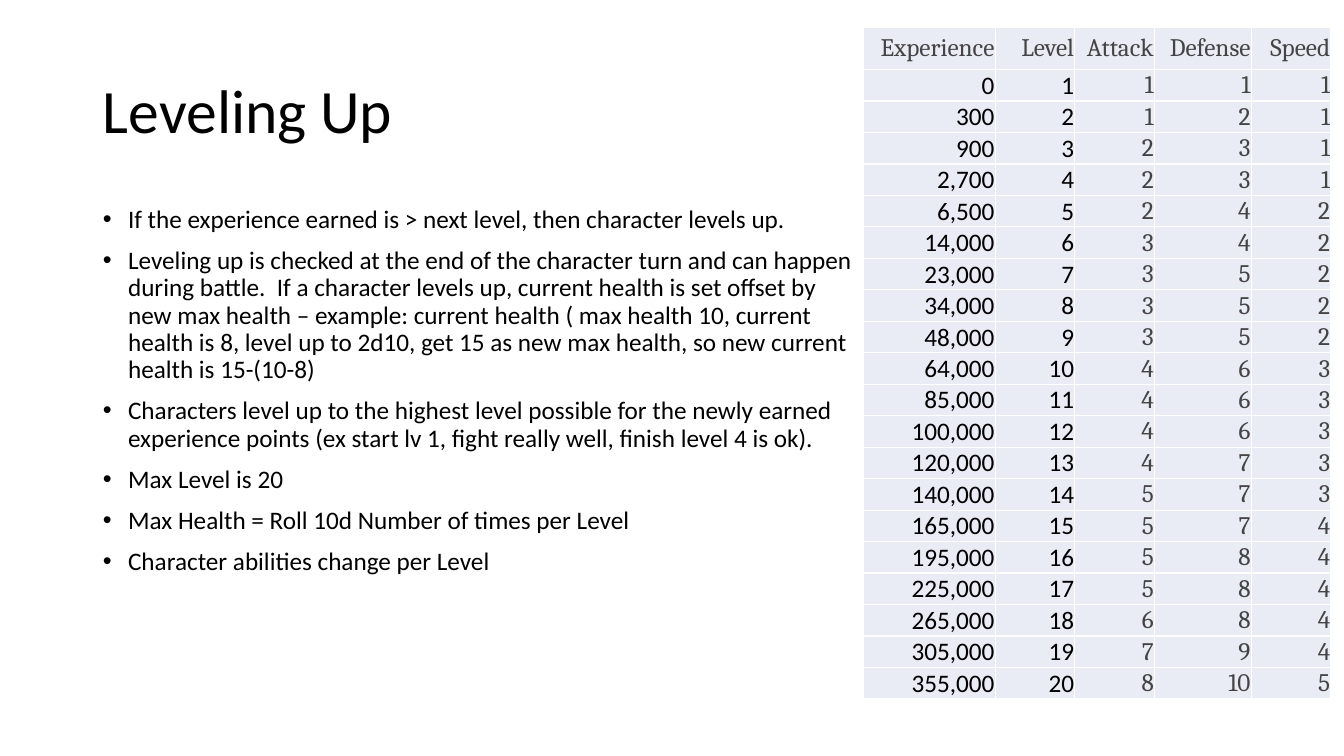
from lxml.etree import SubElement as Sub
from pptx import Presentation
from pptx.dml.color import RGBColor
from pptx.enum.text import MSO_ANCHOR as Anchor, MSO_AUTO_SIZE as Auto, PP_ALIGN as Align
from pptx.oxml.ns import qn
from pptx.util import Inches, Pt


def paint(hue):
    return RGBColor.from_string(hue)


def write(para, text, size, face, hue):
    run = para.add_run()
    run.text = text
    run.font.size = Pt(size)
    run.font.name = face
    run.font.color.rgb = paint(hue)


deck = Presentation()
deck.slide_width = Inches(13.33)
deck.slide_height = Inches(7.5)
slide = deck.slides.add_slide(deck.slide_layouts[1])
title, body = slide.placeholders

places = [(title, (0.92, 0.4, 11.5, 1.45), Anchor.MIDDLE),
          (body, (0.92, 2, 7.76, 4.76), Anchor.TOP)]
for holder, box, anchor in places:
    holder.left, holder.top, holder.width, holder.height = map(Inches, box)
    holder.text_frame.auto_size = Auto.NONE
    holder.text_frame.vertical_anchor = anchor

head = title.text_frame.paragraphs[0]
head.alignment = Align.LEFT
head.line_spacing = 0.9
write(head, "Leveling Up", 44, "Calibri", "000000")

rules = [
    "If the experience earned is > next level, then character levels up.",
    "Leveling up is checked at the end of the character turn and can happen during battle.  "
    "If a character levels up, current health is set offset by new max health – example: "
    "current health ( max health 10, current health is 8, level up to 2d10, get 15 as new "
    "max health, so new current health is 15-(10-8)",
    "Characters level up to the highest level possible for the newly earned experience "
    "points (ex start lv 1, fight really well, finish level 4 is ok).",
    "Max Level is 20",
    "Max Health = Roll 10d Number of times per Level",
    "Character abilities change per Level",
]
frame = body.text_frame
for i, rule in enumerate(rules):
    para = frame.add_paragraph() if i else frame.paragraphs[0]
    para.line_spacing = 0.9
    para.space_before = Pt(10)
    props = para._p.get_or_add_pPr()
    props.set("marL", str(Inches(0.25)))
    props.set("indent", str(-Inches(0.25)))
    write(para, rule, 18, "Calibri", "000000")

names = ["Experience", "Level", "Attack", "Defense", "Speed"]
points = [0, 300, 900, 2700, 6500, 14000, 23000, 34000, 48000, 64000,
          85000, 100000, 120000, 140000, 165000, 195000, 225000, 265000, 305000, 355000]
attack = [1, 1, 2, 2, 2, 3, 3, 3, 3, 4, 4, 4, 4, 5, 5, 5, 5, 6, 7, 8]
defense = [1, 2, 3, 3, 4, 4, 5, 5, 5, 6, 6, 6, 7, 7, 7, 8, 8, 8, 9, 10]
speed = [1] * 4 + [2] * 5 + [3] * 5 + [4] * 5 + [5]
rows = [names, *zip(points, range(1, 21), attack, defense, speed)]

chart = slide.shapes.add_table(len(rows), len(names), Inches(8.56), Inches(0.27),
                               Inches(4.64), Inches(6.56))
table = chart.table
table.first_row = False
table.horz_banding = False
for col, width in zip(table.columns, [1.31, 0.79, 0.79, 0.96, 0.79]):
    col.width = Inches(width)
for r, row in enumerate(rows):
    table.rows[r].height = Inches(0.22 if r else 0.42)
    for c, value in enumerate(row):
        cell = table.cell(r, c)
        cell.margin_left = cell.margin_right = cell.margin_top = Pt(0.5)
        cell.margin_bottom = 0
        cell.vertical_anchor = Anchor.MIDDLE
        for side in ("lnL", "lnR", "lnT", "lnB"):
            edge = Sub(cell._tc.get_or_add_tcPr(), qn("a:" + side), w=str(Pt(1)))
            Sub(Sub(edge, qn("a:solidFill")), qn("a:srgbClr"), val="FFFFFF")
        cell.fill.solid()
        cell.fill.fore_color.rgb = paint("E9EBF5")
        para = cell.text_frame.paragraphs[0]
        para.alignment = Align.RIGHT
        face, hue = ("Calibri", "000000") if r and c < 2 else ("Cambria", "444444")
        write(para, f"{value:,}" if r else value, 18, face, hue)
chart.height = Inches(6.56)

deck.save("out.pptx")
